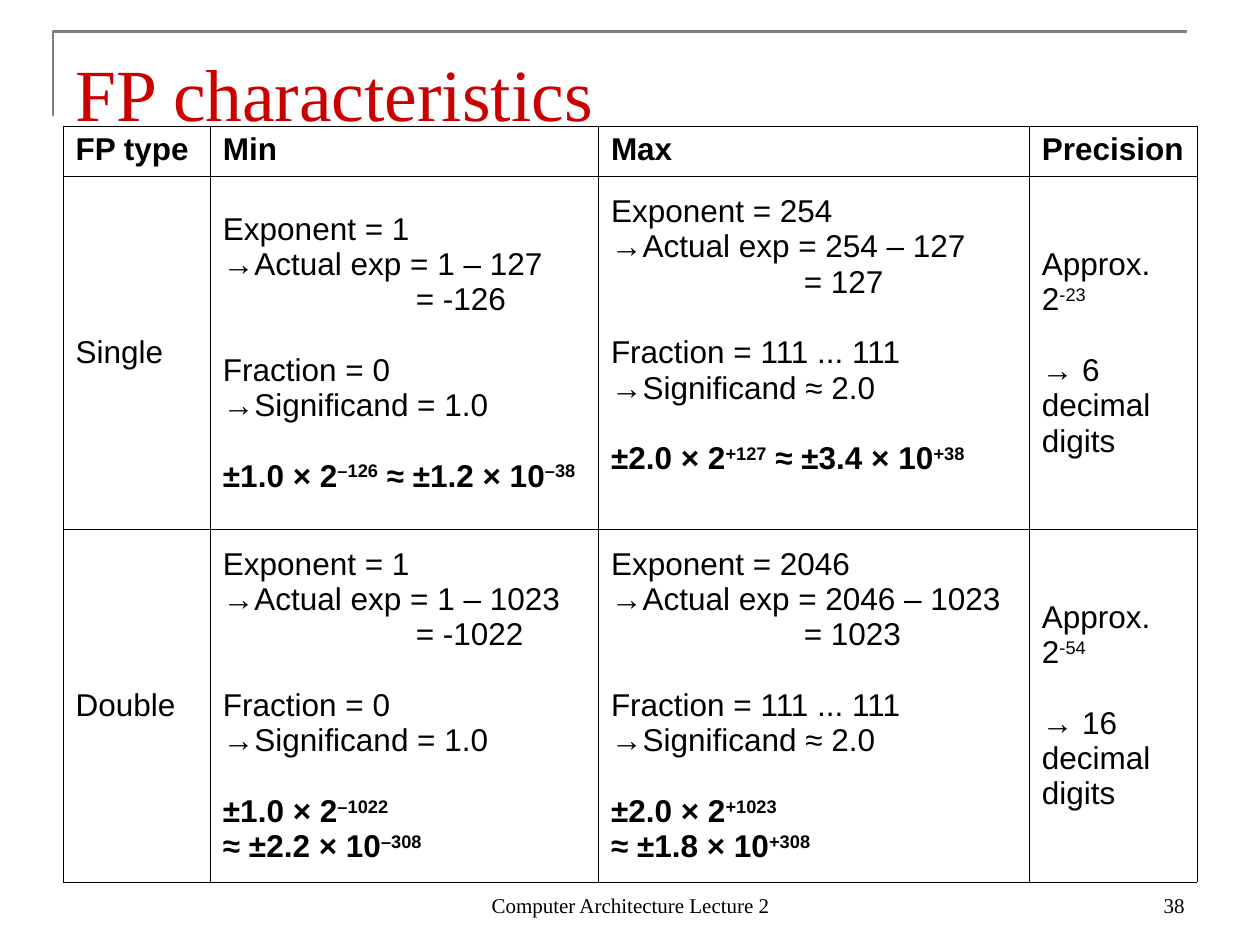
from dataclasses import dataclass

from lxml.etree import SubElement
from pptx import Presentation
from pptx.dml.color import RGBColor
from pptx.enum.text import MSO_ANCHOR as Anchor, PP_ALIGN as Align
from pptx.oxml.ns import qn
from pptx.util import Inches, Pt


def color(value):
    """Turn a hex string into a colour."""
    return RGBColor.from_string(value)


@dataclass
class Line:
    """One paragraph of a cell, with superscripts between carets."""
    text: str
    bold: bool = False
    gap: bool = False
    bullet: bool = False
    indent: float = 0


def limit_lines(exponent, expression, actual, fraction, significand, *results):
    """Derive the paragraphs that explain one limit of the number range."""
    return [
        Line(f"Exponent = {exponent}"),
        Line(f"Actual exp = {expression}", bullet=True),
        Line(f"= {actual}", indent=1.53),
        Line(f"Fraction = {fraction}", gap=True),
        Line(f"Significand {significand}", bullet=True),
        *[Line(result, bold=True, gap=index == 0) for index, result in enumerate(results)],
    ]


def precision_lines(power, digits):
    """Describe the precision of one type."""
    return [Line("Approx."), Line(f"2^{power}^"), Line(f"→ {digits} decimal digits", gap=True)]


class SlideBuilder:
    """Hold the style and the current slide."""
    serif = "Times New Roman"
    sans = "Arial"
    black = "000000"
    white = "FFFFFF"
    gray = "808080"
    red = "CC0000"

    def __init__(self, presentation):
        """Add a slide that has only a title."""
        self.slide = presentation.slides.add_slide(presentation.slide_layouts[5])

    def style(self, paragraph, name, size, hex_color, bold=False):
        """Set the font of a paragraph."""
        font = paragraph.font
        font.name, font.size, font.bold = name, Pt(size), bold
        font.color.rgb = color(hex_color)

    def corner(self, left, top, right, bottom):
        """Draw the open frame around the title."""
        builder = self.slide.shapes.build_freeform(Inches(left), Inches(bottom))
        points = [(Inches(left), Inches(top)), (Inches(right), Inches(top))]
        builder.add_line_segments(points, close=False)
        shape = builder.convert_to_shape()
        shape.shadow.inherit = False
        shape.fill.background()
        shape.line.color.rgb = color(self.gray)
        shape.line.width = Pt(1.5)

    def title(self, text, left, top, width, height):
        """Fill and place the title."""
        shape = self.slide.shapes.title
        shape.left, shape.top = Inches(left), Inches(top)
        shape.width, shape.height = Inches(width), Inches(height)
        frame = shape.text_frame
        frame.text = text
        frame.vertical_anchor = Anchor.BOTTOM
        frame.margin_bottom = 0
        frame.paragraphs[0].alignment = Align.LEFT
        self.style(frame.paragraphs[0], self.serif, 42, self.red)

    def footer(self, text, left, width, alignment):
        """Add a text to the foot of the slide."""
        shape = self.slide.shapes.add_textbox(
            Inches(left), Inches(6.83), Inches(width), Inches(0.5))
        frame = shape.text_frame
        frame.word_wrap = True
        frame.vertical_anchor = Anchor.BOTTOM
        frame.text = text
        frame.paragraphs[0].alignment = alignment
        self.style(frame.paragraphs[0], self.serif, 12, self.black)

    def fill_paragraph(self, paragraph, line):
        """Put a line into a paragraph."""
        properties = paragraph._p.get_or_add_pPr()
        if line.gap:
            paragraph.space_before = Pt(20.2)
        if line.indent:
            properties.set("marL", str(Inches(line.indent)))
        if line.bullet:
            properties.set("marL", str(Inches(0.25)))
            properties.set("indent", str(-Inches(0.25)))
            SubElement(properties, qn("a:buFont"), typeface=self.sans)
            SubElement(properties, qn("a:buChar"), char="→")
        for index, piece in enumerate(line.text.split("^")):
            if piece:
                run = paragraph.add_run()
                run.text = piece
                if index % 2:
                    run._r.get_or_add_rPr().set("baseline", "30000")
        self.style(paragraph, self.sans, 18, self.black, line.bold)

    def border(self, cell):
        """Draw a thin line on each side of a cell."""
        properties = cell._tc.get_or_add_tcPr()
        for side in ("lnL", "lnR", "lnT", "lnB"):
            edge = SubElement(properties, qn(f"a:{side}"), w=str(Pt(0.45)))
            fill = SubElement(edge, qn("a:solidFill"))
            SubElement(fill, qn("a:srgbClr"), val=self.black)

    def table(self, rows, left, top, widths, heights):
        """Add a bordered table and return it."""
        table = self.slide.shapes.add_table(
            len(rows), len(widths), Inches(left), Inches(top),
            Inches(sum(widths)), Inches(sum(heights))).table
        table.first_row = table.horz_banding = False
        for column, width in zip(table.columns, widths):
            column.width = Inches(width)
        for row_index, (row, height) in enumerate(zip(rows, heights)):
            table.rows[row_index].height = Inches(height)
            for cell, lines in zip(table.rows[row_index].cells, row):
                self.border(cell)
                cell.fill.solid()
                cell.fill.fore_color.rgb = color(self.white)
                cell.vertical_anchor = Anchor.MIDDLE if row_index else Anchor.TOP
                frame = cell.text_frame
                for index, line in enumerate(lines):
                    paragraph = frame.add_paragraph() if index else frame.paragraphs[0]
                    self.fill_paragraph(paragraph, line)
        return table


def main():
    """Build the slide and save it."""
    presentation = Presentation()
    presentation.slide_width, presentation.slide_height = Inches(10), Inches(7.5)
    builder = SlideBuilder(presentation)
    builder.corner(0.42, 0.25, 9.42, 0.92)
    builder.title("FP characteristics", 0.5, 0.3, 9, 0.78)
    builder.footer("Computer Architecture Lecture 2", 3.42, 3.17, Align.CENTER)
    builder.footer("38", 7.17, 2.33, Align.RIGHT)
    rows = [
        [[Line(text, bold=True)] for text in ("FP type", "Min", "Max", "Precision")],
        [
            [Line("Single")],
            limit_lines("1", "1 – 127", "-126", "0", "= 1.0",
                        "±1.0 × 2^–126^ ≈ ±1.2 × 10^–38^"),
            limit_lines("254", "254 – 127", "127", "111 ... 111", "≈ 2.0",
                        "±2.0 × 2^+127^ ≈ ±3.4 × 10^+38^"),
            precision_lines("-23", 6),
        ],
        [
            [Line("Double")],
            limit_lines("1", "1 – 1023", "-1022", "0", "= 1.0",
                        "±1.0 × 2^–1022^", "≈ ±2.2 × 10^–308^"),
            limit_lines("2046", "2046 – 1023", "1023", "111 ... 111", "≈ 2.0",
                        "±2.0 × 2^+1023^", "≈ ±1.8 × 10^+308^"),
            precision_lines("-54", 16),
        ],
    ]
    table = builder.table(rows, 0.5, 1, [1.17, 3.08, 3.42, 1.33], [0.4, 2.8, 2.8])
    table.cell(1, 2).margin_bottom = Inches(0.33)
    presentation.save("out.pptx")


if __name__ == "__main__":
    main()
